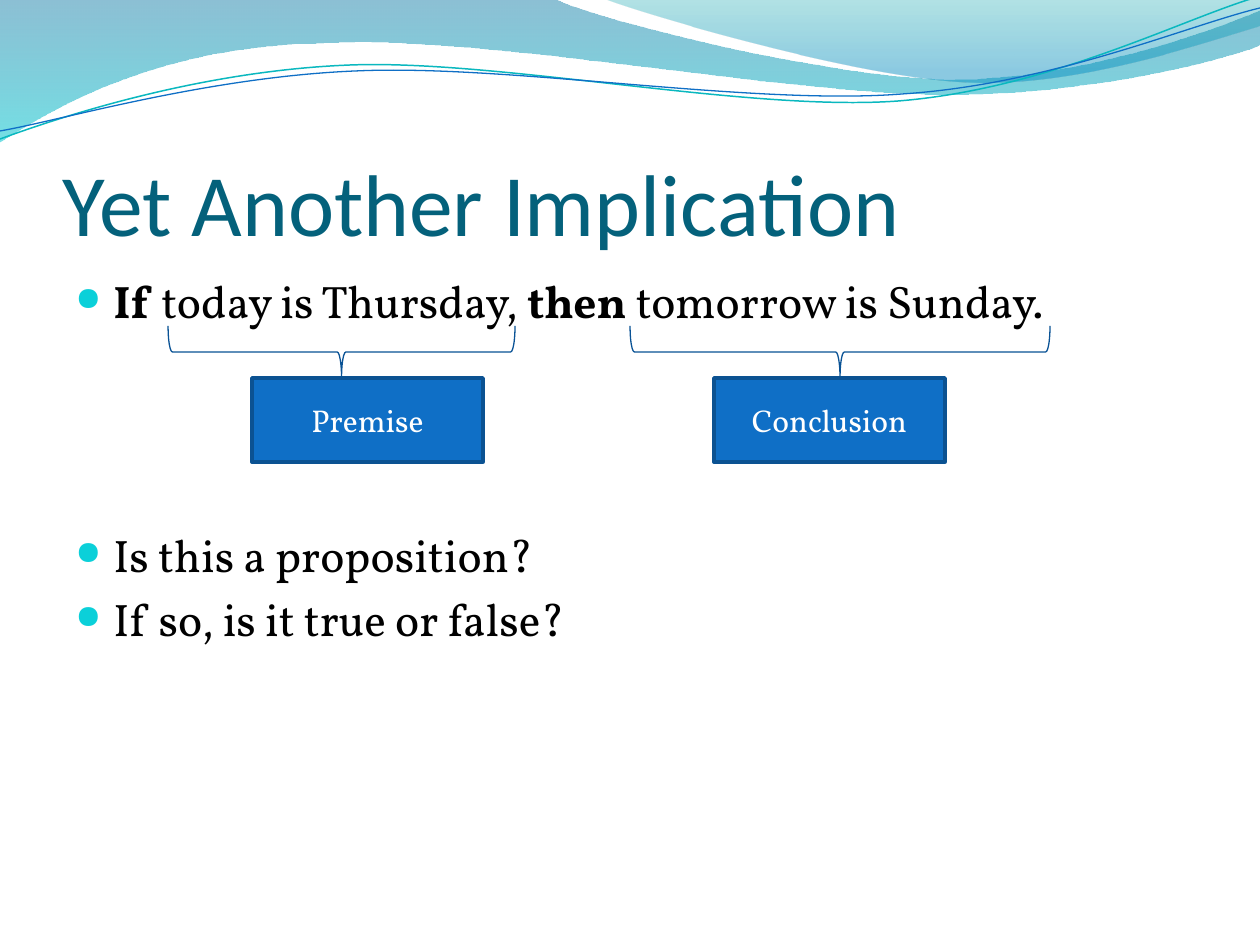
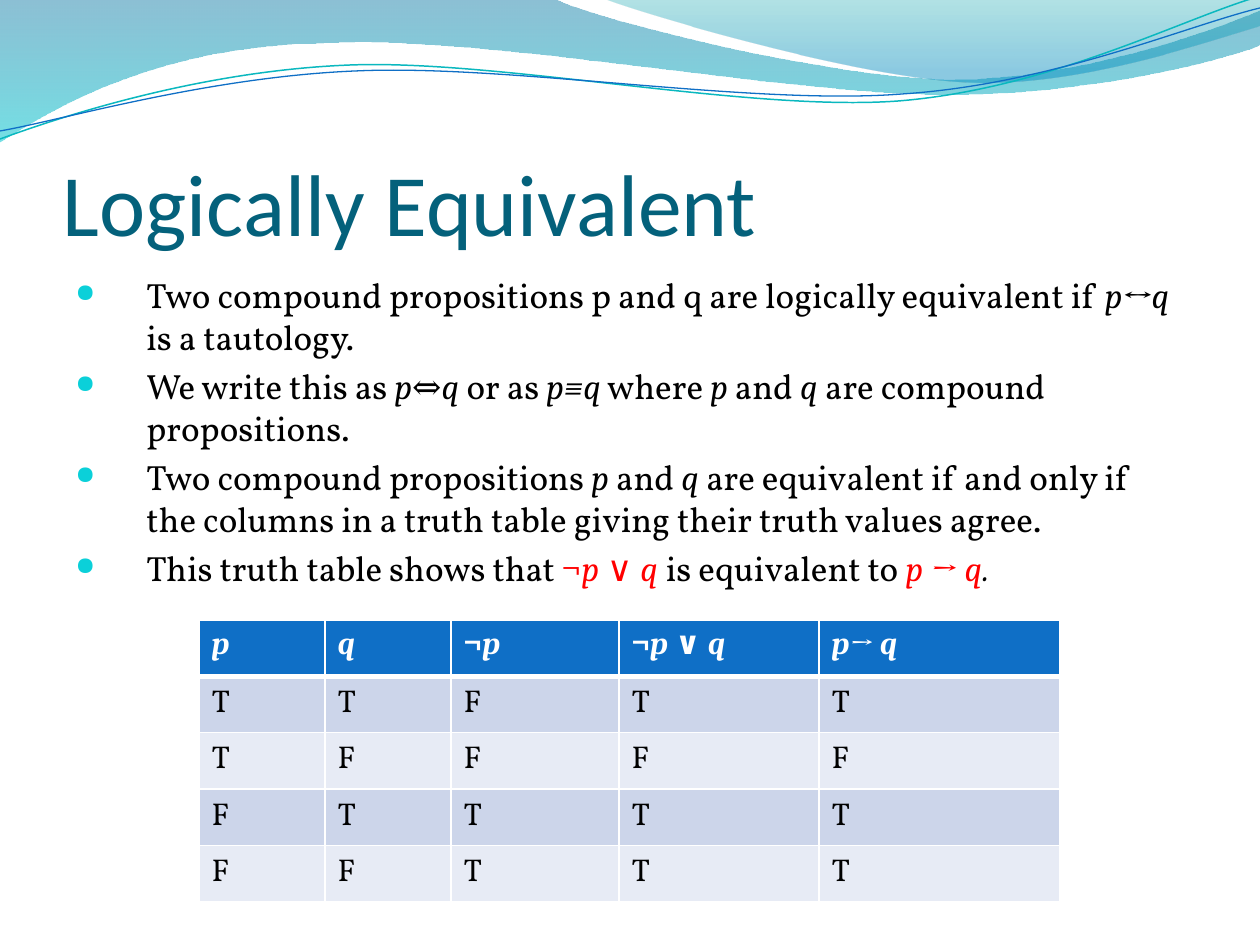
import lxml.etree
import pptx
import pptx.dml.color
import pptx.enum.shapes
import pptx.enum.text
import pptx.oxml.ns
import pptx.util

PX = 914400 / 126


class Theme:
    title_font, body_font, math_font = "Calibri", "Vollkorn", "Cambria"
    title, text, white, red = "04617B", "000000", "FFFFFF", "FF0000"
    bullet, accent = "0BD0D9", "0F6FC6"
    box_edge, brace = "0B5292", "095295"
    row_fills = ("CCD5EA", "E7EBF5")
    title_size, label_size, table_size = 50, 18, 18
    bullet_percent = 72
    line_height, space_before = 1.2, 0.2  # multiples of the type size


# A wave is a start point and segments: one point is a line, three are a cubic curve.
FILLED_WAVES = [
    ((0, 0),
     [[(554, -1)],
      [(600, 21), (837, 79), (955, 79)],
      [(1075, 79), (1207, 33), (1260, 11)],
      [(1261, 45)],
      [(1239, 55), (1096, 96), (940, 94)],
      [(784, 94), (481, 35), (324, 43)],
      [(163, 45), (58, 105), (-1, 142)]],
     [(0, "0074A1", 45), (1, "00C6CF", 55)]),
    ((604, -1),
     [[(641, 14), (859, 78), (969, 82)],
      [(1079, 87), (1211, 40), (1260, 26)],
      [(1260, 0)]],
     [(0, "00A1A9", 30), (0.8, "008BBF", 45)]),
]
WAVE_LINES = [
    ((0, 139),
     [[(60, 117), (199, 71), (349, 65)],
      [(498, 59), (747, 112), (898, 101)],
      [(1049, 89), (1182, 19), (1257, -3)]],
     "0AB8BF", 0.85),
    ((0, 131),
     [[(59, 121), (207, 77), (356, 71)],
      [(508, 64), (752, 106), (903, 94)],
      [(1053, 84), (1186, 26), (1260, 8)]],
     Theme.accent, 0.75),
]

# Run styles: font, colour, bold, italic
STYLES = {
    "plain": (Theme.body_font, Theme.text, False, False),
    "bold": (Theme.body_font, Theme.text, True, False),
    "label": (Theme.body_font, Theme.white, False, False),
    "title": (Theme.title_font, Theme.title, False, False),
    "math": (Theme.math_font, Theme.text, False, True),
    "red math": (Theme.math_font, Theme.red, False, True),
    "red sign": (Theme.math_font, Theme.red, False, False),
    "head math": (Theme.math_font, Theme.white, True, True),
    "head sign": (Theme.math_font, Theme.white, True, False),
}

IMPLICATION = {
    "title": "Yet Another Implication",
    "size": 26,
    "indent": 38,
    "bullets": [
        [("If ", "bold"), ("today is Thursday, ", "plain"), ("then", "bold"),
         (" tomorrow is Sunday.", "plain")],
        [("Is this a proposition?", "plain")],
        [("If so, is it true or false?", "plain")],
    ],
    "gaps": {1: 114},  # room for the labelled braces, in points
}
# Label, brace left, brace width, box left
CLAUSES = [("Premise", 168, 347, 252), ("Conclusion", 630, 420, 714)]

EQUIVALENCE = {
    "title": "Logically Equivalent",
    "size": 20,
    "indent": 71,
    "bullets": [
        [("Two compound propositions p and q are logically equivalent if ", "plain"),
         ("p↔q", "math"), (" is a tautology.", "plain")],
        [("We write this as ", "plain"), ("p⇔q", "math"), (" or as ", "plain"),
         ("p≡q", "math"), (" where ", "plain"), ("p", "math"), (" and ", "plain"),
         ("q", "math"), (" are compound propositions.", "plain")],
        [("Two compound propositions ", "plain"), ("p", "math"), (" and ", "plain"),
         ("q", "math"),
         (" are equivalent if and only if the columns in a truth table giving "
          "their truth values agree.", "plain")],
        [("This truth table shows that ", "plain"), ("¬", "red sign"),
         ("p ", "red math"), ("∨ ", "red sign"), ("q ", "red math"),
         ("is equivalent to ", "plain"), ("p → q", "red math"), (".", "math")],
    ],
    "gaps": {},
}
TRUTH_HEADER = [
    [("p", "head math")],
    [("q", "head math")],
    [("¬", "head sign"), ("p", "head math")],
    [("¬", "head sign"), ("p ", "head math"), ("∨ ", "head sign"), ("q", "head math")],
    [("p→ q", "head math")],
]
TRUTH_ROWS = ["TTFTT", "TFFFF", "FTTTT", "FFTTT"]
TRUTH_COLUMNS = [126, 126, 168, 200, 241]


def px(*lengths):
    return [round(length * PX) for length in lengths]


def rgb(colour):
    return pptx.dml.color.RGBColor.from_string(colour)


def add_xml(parent, tag, **attributes):
    return lxml.etree.SubElement(
        parent, pptx.oxml.ns.qn(tag), {name: str(value) for name, value in attributes.items()})


def fill_runs(paragraph, runs, size):
    for text, style in runs:
        run = paragraph.add_run()
        run.text = text
        font = run.font
        font.name, colour, font.bold, font.italic = STYLES[style]
        font.size = pptx.util.Pt(size)
        font.color.rgb = rgb(colour)


def add_wave(slide, start, segments, close):
    """Outline the control points, then join each three of a curve into one cubic."""
    builder = slide.shapes.build_freeform(*px(*start), scale=1.0)
    points = [px(*point) for segment in segments for point in segment]
    builder.add_line_segments(points, close=close)
    wave = builder.convert_to_shape()
    wave.shadow.inherit = False
    lines = iter(list(wave._element.iter(pptx.oxml.ns.qn("a:lnTo"))))
    for segment in segments:
        parts = [next(lines) for _ in segment]
        if len(parts) == 3:
            curve = lxml.etree.Element(pptx.oxml.ns.qn("a:cubicBezTo"))
            parts[0].addprevious(curve)
            for part in parts:
                curve.append(part[0])
                part.getparent().remove(part)
    return wave


def add_waves(slide):
    for start, segments, stops in FILLED_WAVES:
        wave = add_wave(slide, start, segments, close=True)
        wave.line.fill.background()
        wave.fill.gradient()
        wave.fill.gradient_angle = 270
        for gradient_stop, (position, colour, _) in zip(wave.fill.gradient_stops, stops):
            gradient_stop.position = position
            gradient_stop.color.rgb = rgb(colour)
        gradient = wave._element.spPr.find(pptx.oxml.ns.qn("a:gradFill"))
        for colour_element, (_, _, opacity) in zip(
                gradient.iter(pptx.oxml.ns.qn("a:srgbClr")), stops):
            add_xml(colour_element, "a:alpha", val=opacity * 1000)
    for start, segments, colour, width in WAVE_LINES:
        wave = add_wave(slide, start, segments, close=False)
        wave.fill.background()
        set_line(wave, colour, width)


def set_line(shape, colour, width):
    shape.line.color.rgb = rgb(colour)
    shape.line.width = pptx.util.Pt(width)


def add_title(slide, text):
    frame = slide.shapes.add_textbox(*px(63, 97, 1134, 157)).text_frame
    frame.word_wrap = True
    frame.vertical_anchor = pptx.enum.text.MSO_ANCHOR.BOTTOM
    frame.margin_left = frame.margin_right = frame.margin_bottom = 0
    fill_runs(frame.paragraphs[0], [(text, "title")], Theme.title_size)


def add_bullets(slide, content):
    size = content["size"]
    space = size * Theme.space_before
    frame = slide.shapes.add_textbox(*px(63, 267, 1134, 605)).text_frame
    frame.word_wrap = True
    indent, = px(content["indent"])
    for index, runs in enumerate(content["bullets"]):
        paragraph = frame.add_paragraph() if index else frame.paragraphs[0]
        properties = paragraph._p.get_or_add_pPr()
        properties.set("marL", str(indent))
        properties.set("indent", str(-indent))
        add_xml(add_xml(properties, "a:buClr"), "a:srgbClr", val=Theme.bullet)
        add_xml(properties, "a:buSzPct", val=Theme.bullet_percent * 1000)
        add_xml(properties, "a:buChar", char="●")
        paragraph.line_spacing = pptx.util.Pt(size * Theme.line_height)
        if index:
            paragraph.space_before = pptx.util.Pt(content["gaps"].get(index, space))
        fill_runs(paragraph, runs, size)


def add_brace(slide, left, top, width, height):
    """Add a brace pointing down that covers the given area once it is turned."""
    shift = (width - height) / 2
    brace = slide.shapes.add_shape(
        pptx.enum.shapes.MSO_SHAPE.RIGHT_BRACE, *px(left + shift, top - shift, height, width))
    brace.rotation = 90
    brace.shadow.inherit = False
    brace.fill.background()
    set_line(brace, Theme.brace, 0.75)


def add_label_box(slide, text, left):
    box = slide.shapes.add_shape(
        pptx.enum.shapes.MSO_SHAPE.RECTANGLE, *px(left, 378, 231, 84))
    box.shadow.inherit = False
    box.fill.solid()
    box.fill.fore_color.rgb = rgb(Theme.accent)
    set_line(box, Theme.box_edge, 2)
    box.text_frame.vertical_anchor = pptx.enum.text.MSO_ANCHOR.MIDDLE
    paragraph = box.text_frame.paragraphs[0]
    paragraph.alignment = pptx.enum.text.PP_ALIGN.CENTER
    fill_runs(paragraph, [(text, "label")], Theme.label_size)


def style_cell(cell, fill, top_width, bottom_width):
    properties = cell._tc.get_or_add_tcPr()
    for side, width in zip("LRTB", (1, 1, top_width, bottom_width)):
        line = add_xml(properties, "a:ln" + side, w=pptx.util.Pt(width))
        add_xml(add_xml(line, "a:solidFill"), "a:srgbClr", val=Theme.white)
    cell.fill.solid()
    cell.fill.fore_color.rgb = rgb(fill)


def add_truth_table(slide):
    rows = [TRUTH_HEADER] + [[[(value, "plain")] for value in row] for row in TRUTH_ROWS]
    table = slide.shapes.add_table(
        len(rows), len(TRUTH_COLUMNS), *px(199, 620, sum(TRUTH_COLUMNS), 282)).table
    for column, width in zip(table.columns, px(*TRUTH_COLUMNS)):
        column.width = width
    for row_index, row in enumerate(rows):
        fill = Theme.row_fills[(row_index - 1) % 2] if row_index else Theme.accent
        for column_index, runs in enumerate(row):
            cell = table.cell(row_index, column_index)
            style_cell(cell, fill, 3 if row_index == 1 else 1, 1 if row_index else 3)
            fill_runs(cell.text_frame.paragraphs[0], runs, Theme.table_size)


def add_content_slide(presentation, content):
    slide = presentation.slides.add_slide(presentation.slide_layouts[6])
    add_waves(slide)
    add_title(slide, content["title"])
    add_bullets(slide, content)
    return slide


def main():
    presentation = pptx.Presentation()
    presentation.slide_width, presentation.slide_height = px(1260, 945)

    slide = add_content_slide(presentation, IMPLICATION)
    for label, brace_left, brace_width, box_left in CLAUSES:
        add_brace(slide, brace_left, 326, brace_width, 52)
        add_label_box(slide, label, box_left)

    slide = add_content_slide(presentation, EQUIVALENCE)
    add_truth_table(slide)

    presentation.save("out.pptx")


if __name__ == "__main__":
    main()
